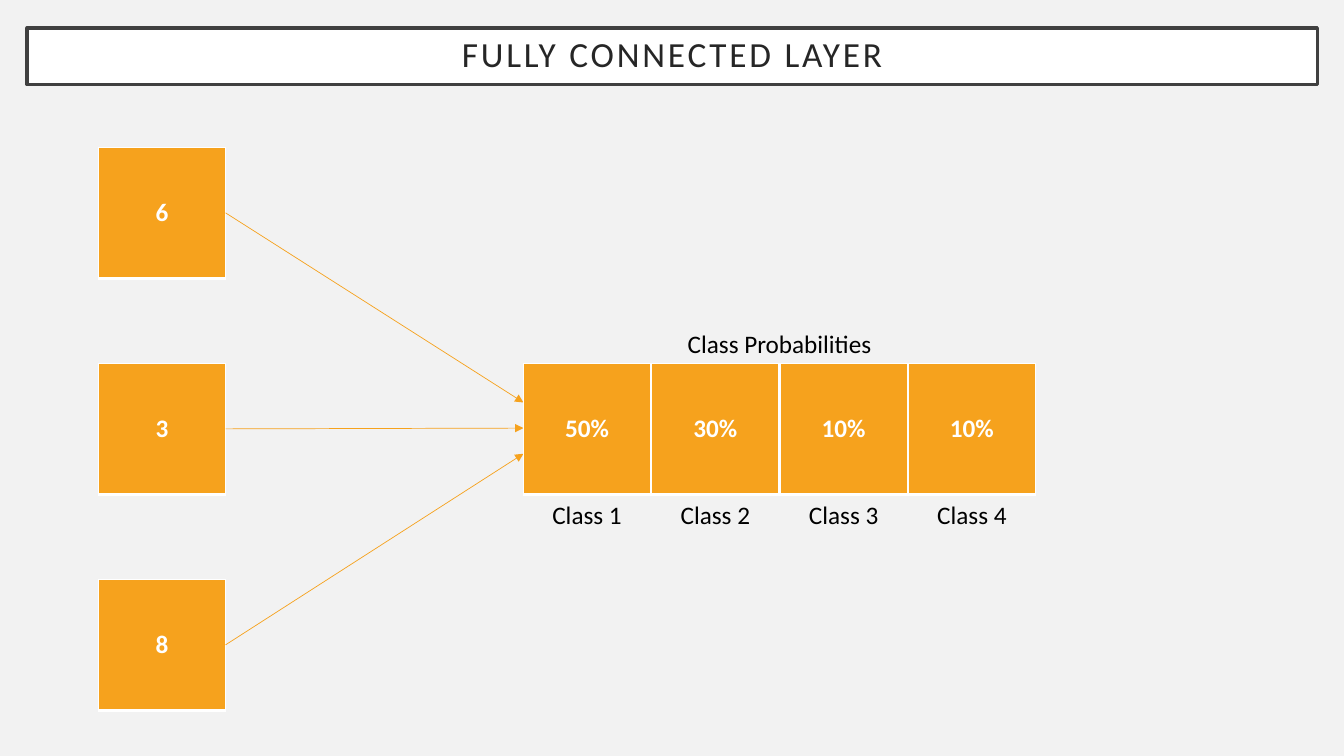
from dataclasses import dataclass

from lxml.etree import SubElement
from pptx import Presentation
from pptx.dml.color import RGBColor as Color
from pptx.enum.shapes import MSO_CONNECTOR as Connector
from pptx.enum.text import MSO_ANCHOR as Anchor, MSO_AUTO_SIZE as AutoSize, PP_ALIGN as Align
from pptx.oxml.ns import qn
from pptx.util import Pt


@dataclass(frozen=True)
class Theme:
    """Colours, font and type sizes of the slide."""
    background: str = "F2F2F2"
    white: str = "FFFFFF"
    frame: str = "404040"
    heading: str = "262626"
    accent: str = "F6A21D"
    label: str = "000000"
    font: str = "Calibri"
    title_size: float = 25.2
    body_size: float = 18


@dataclass(frozen=True)
class Box:
    """A rectangle measured in points."""
    left: float
    top: float
    width: float
    height: float

    def lengths(self):
        """Return the rectangle as python-pptx lengths."""
        return [Pt(value) for value in (self.left, self.top, self.width, self.height)]


THEME = Theme()
CELL_WIDTH, CELL_HEIGHT = 90.9, 93.7
LABEL_HEIGHT = 28.8


def paint(fill, colour):
    """Give a fill one solid colour."""
    fill.solid()
    fill.fore_color.rgb = Color.from_string(colour)


def write(frame, text, size, colour, bold=False):
    """Write one centred run and return it."""
    para = frame.paragraphs[0]
    para.alignment = Align.CENTER
    run = para.add_run()
    run.text = text
    run.font.name = THEME.font
    run.font.size = Pt(size)
    run.font.bold = bold
    run.font.color.rgb = Color.from_string(colour)
    return run


def add_title(page, box, text):
    """Place the framed title."""
    title = page.shapes.title
    title.left, title.top, title.width, title.height = box.lengths()
    paint(title.fill, THEME.white)
    title.line.color.rgb = Color.from_string(THEME.frame)
    title.line.width = Pt(2.5)
    frame = title.text_frame
    frame.auto_size = AutoSize.NONE
    frame.word_wrap = True
    frame.vertical_anchor = Anchor.MIDDLE
    frame.margin_left = frame.margin_right = Pt(14.4)
    frame.margin_top = frame.margin_bottom = Pt(14.4)
    run = write(frame, text, THEME.title_size, THEME.heading)
    run.font._element.set("spc", "200")
    frame.paragraphs[0].line_spacing = 0.9


def add_cell(page, box, text):
    """Place a one-cell table with white borders."""
    table = page.shapes.add_table(1, 1, *box.lengths()).table
    table.first_row = table.horz_banding = False
    cell = table.cell(0, 0)
    properties = cell._tc.get_or_add_tcPr()
    for side, width in (("L", 1), ("R", 1), ("T", 1), ("B", 3)):
        border = SubElement(properties, qn(f"a:ln{side}"), w=str(Pt(width)))
        solid = SubElement(border, qn("a:solidFill"))
        SubElement(solid, qn("a:srgbClr"), val=THEME.white)
    paint(cell.fill, THEME.accent)
    cell.vertical_anchor = Anchor.MIDDLE
    write(cell.text_frame, text, THEME.body_size, THEME.white, bold=True)


def add_label(page, box, text):
    """Place a centred text label."""
    frame = page.shapes.add_textbox(*box.lengths()).text_frame
    frame.word_wrap = True
    write(frame, text, THEME.body_size, THEME.label)


def add_arrow(page, start, end):
    """Draw a thin arrow between two points."""
    arrow = page.shapes.add_connector(Connector.STRAIGHT, *map(Pt, (*start, *end)))
    arrow.line.color.rgb = Color.from_string(THEME.accent)
    arrow.line.width = Pt(0.5)
    SubElement(arrow.line._get_or_add_ln(), qn("a:tailEnd"), type="triangle")
    SubElement(arrow._element.spPr, qn("a:effectLst"))


def add_inputs(page, box, values):
    """Spread the input cells down the box and return their right midpoints."""
    pitch = (box.height - CELL_HEIGHT) / (len(values) - 1)
    tops = [box.top + index * pitch for index in range(len(values))]
    for top, value in zip(tops, values):
        add_cell(page, Box(box.left, top, box.width, CELL_HEIGHT), value)
    return [(box.left + box.width, top + CELL_HEIGHT / 2) for top in tops]


def add_arrows(page, starts, box):
    """Join the inputs to evenly spaced points on the left edge of the box."""
    for index, start in enumerate(starts):
        add_arrow(page, start, (box.left, box.top + 28 + index * 18.3))


def add_classes(page, box, heading, probabilities):
    """Place the row of probabilities with its heading and class labels."""
    pitch = (box.width - CELL_WIDTH) / (len(probabilities) - 1)
    for index, probability in enumerate(probabilities):
        left = box.left + index * pitch
        add_cell(page, Box(left, box.top, CELL_WIDTH, box.height), probability)
        label_box = Box(left, box.top + box.height, CELL_WIDTH, LABEL_HEIGHT)
        add_label(page, label_box, f"Class {index + 1}")
    add_label(page, Box(box.left, box.top - 28.3, box.width, LABEL_HEIGHT), heading)


def main():
    """Build and save the deck."""
    deck = Presentation()
    deck.slide_width, deck.slide_height = Pt(960), Pt(540)
    page = deck.slides.add_slide(deck.slide_layouts[5])
    paint(page.background.fill, THEME.background)
    add_title(page, Box(19.4, 20, 921.6, 40.3), "FULLY CONNECTED LAYER")
    classes = Box(373.9, 259.5, 365.8, CELL_HEIGHT)
    starts = add_inputs(page, Box(70.2, 105.2, CELL_WIDTH, 402.3), ["6", "3", "8"])
    add_arrows(page, starts, classes)
    add_classes(page, classes, "Class Probabilities", ["50%", "30%", "10%", "10%"])
    deck.save("out.pptx")


if __name__ == "__main__":
    main()
